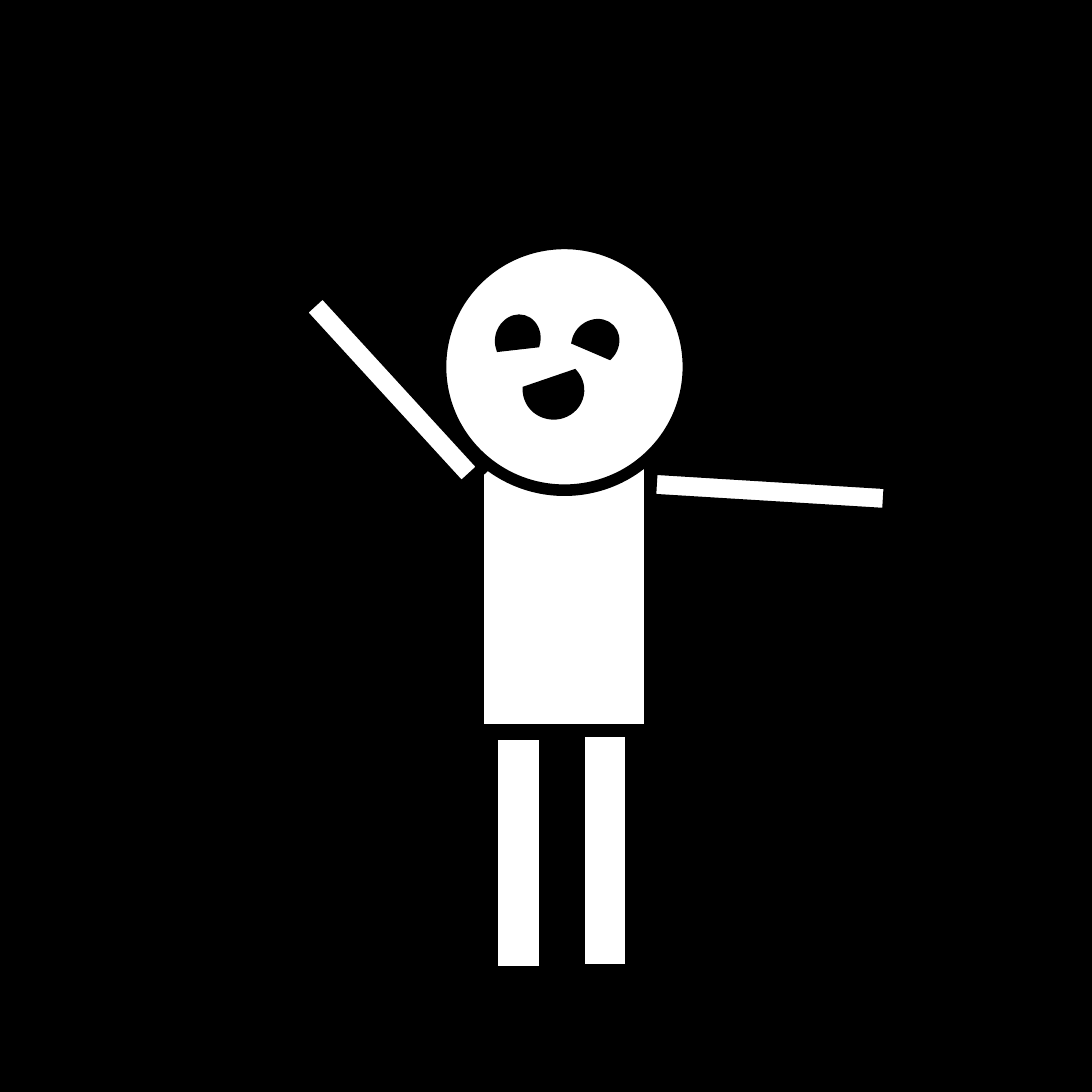
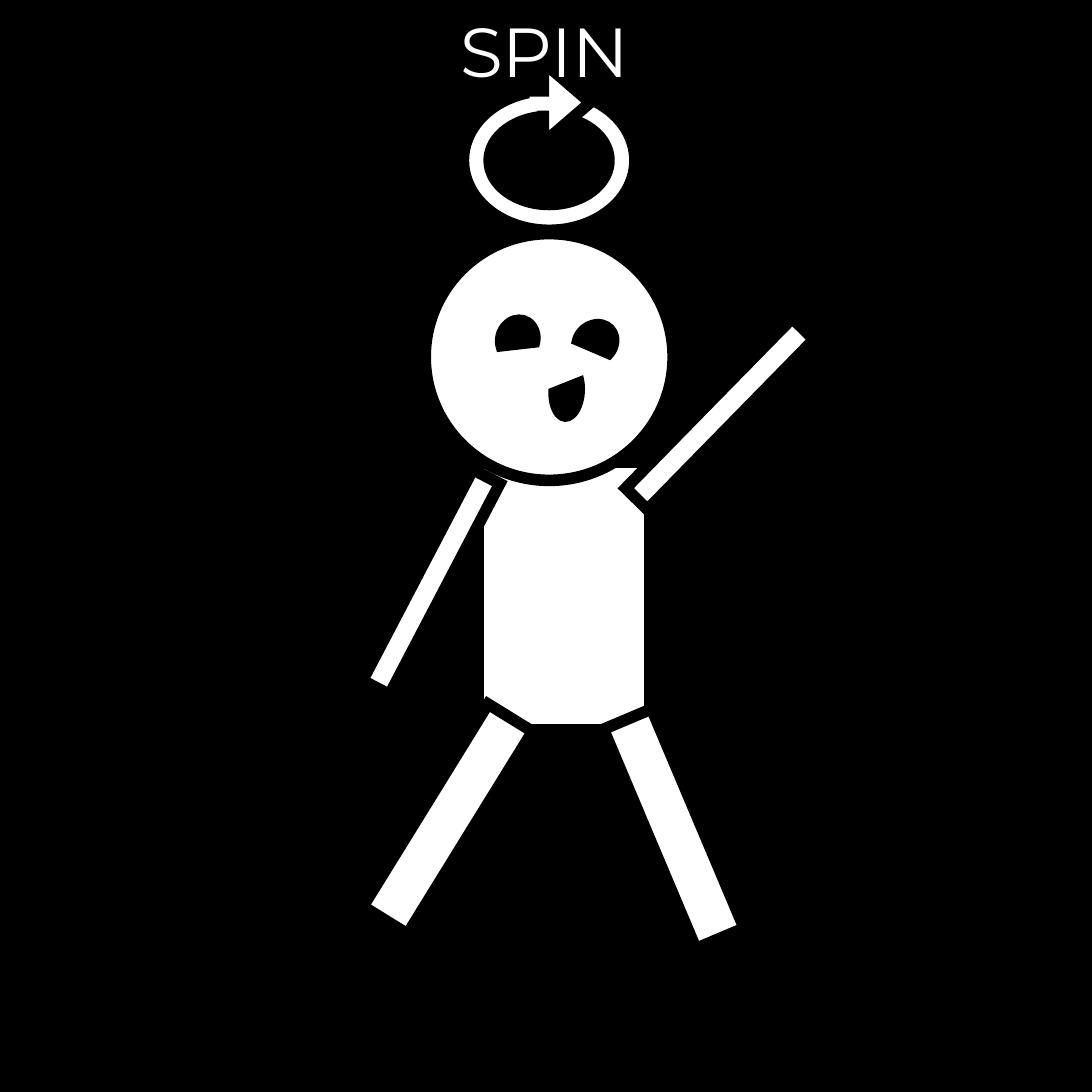
from lxml.etree import SubElement
from pptx import Presentation
from pptx.dml.color import RGBColor
from pptx.enum.shapes import MSO_SHAPE as Preset
from pptx.enum.text import MSO_ANCHOR, MSO_AUTO_SIZE, PP_ALIGN
from pptx.oxml.ns import qn
from pptx.util import Cm, Pt

BLACK = RGBColor(0x00, 0x00, 0x00)
WHITE = RGBColor(0xFF, 0xFF, 0xFF)
FONT = "Montserrat"
SIDE = Cm(10)
THIN, THICK = 1, 3
ARM = (2.18, 0.28)
LEG = (2.18, 0.48)
EYE = (0.43, 0.38)
EYES = [((4.74, 3.11), 106.7), ((5.45, 3.14), 136.4)]


def add_part(slide, preset, center, size, angle=0, fill=WHITE, outline=THICK):
    """Add a preset shape around its center, in centimetres, with a mitred black outline."""
    (x, y), (width, height) = center, size
    shape = slide.shapes.add_shape(
        preset, Cm(x - width / 2), Cm(y - height / 2), Cm(width), Cm(height))
    shape.rotation = angle
    shape.shadow.inherit = False
    shape.fill.solid()
    shape.fill.fore_color.rgb = fill
    if outline:
        shape.line.color.rgb = BLACK
        shape.line.width = Pt(outline)
        SubElement(shape.line._get_or_add_ln(), qn("a:miter"), lim="800000")
    else:
        shape.line.fill.background()
    return shape


def add_limbs(slide, size, limbs):
    """Add bars of one size, each given as a center and an angle."""
    for center, angle in limbs:
        add_part(slide, Preset.RECTANGLE, center, size, angle)


def add_feature(slide, center, size, angle):
    """Add a black chord for an eye or a mouth."""
    add_part(slide, Preset.CHORD, center, size, angle, BLACK, THIN)


def add_figure(slide, head, mouth, arms, legs):
    """Add a stick figure in the given pose."""
    add_part(slide, Preset.RECTANGLE, (5.17, 5.46), (1.5, 2.38), outline=THIN)
    add_part(slide, Preset.OVAL, head, (2.27, 2.26))
    for center, angle in EYES:
        add_feature(slide, center, EYE, angle)
    add_feature(slide, *mouth)
    add_limbs(slide, ARM, arms)
    add_limbs(slide, LEG, legs)


def add_spin_arrow(slide):
    """Add the circular arrow above the head."""
    ring = add_part(slide, Preset.DONUT, (5.03, 1.47), (1.5, 1.21), outline=THIN)
    ring.adjustments[0] = 0.137
    add_part(slide, Preset.ISOSCELES_TRIANGLE, (5.19, 0.94), (0.74, 0.43), 90)
    add_part(slide, Preset.RECTANGLE, (5.0, 0.95), (0.3, 0.13), outline=None)


def set_title(slide, text):
    """Place and format the title in front of the drawing."""
    title = slide.shapes.title
    title.left, title.top, title.width, title.height = Cm(3.96), Cm(-0.05), Cm(2.51), Cm(1.02)
    frame = title.text_frame
    frame.text = text
    frame.word_wrap = True
    frame.auto_size = MSO_AUTO_SIZE.SHAPE_TO_FIT_TEXT
    frame.vertical_anchor = MSO_ANCHOR.TOP
    paragraph = frame.paragraphs[0]
    paragraph.alignment = PP_ALIGN.LEFT
    paragraph.font.name = FONT
    paragraph.font.size = Pt(18)
    paragraph.font.color.rgb = WHITE
    slide.shapes._spTree.append(title._element)


def main():
    """Build both poses and save the presentation."""
    presentation = Presentation()
    presentation.slide_width = presentation.slide_height = SIDE
    background = presentation.slide_master.background.fill
    background.solid()
    background.fore_color.rgb = BLACK
    title_only, blank = presentation.slide_layouts[5], presentation.slide_layouts[6]

    wave = presentation.slides.add_slide(blank)
    add_figure(
        wave,
        head=(5.17, 3.36),
        mouth=((5.07, 3.57), (0.51, 0.53), 273.4),
        arms=[((3.59, 3.57), 47.5), ((7.05, 4.5), 183.5)],
        legs=[((5.54, 7.79), 90), ((4.75, 7.81), 90)])

    spin = presentation.slides.add_slide(title_only)
    add_figure(
        spin,
        head=(5.03, 3.27),
        mouth=((5.19, 3.58), (0.53, 0.3), 273.4),
        arms=[((6.59, 3.79), 134.4), ((3.95, 5.33), 297.6)],
        legs=[((6.17, 7.59), 67.1), ((4.1, 7.5), 121.7)])
    add_spin_arrow(spin)
    set_title(spin, "SPIN")

    presentation.save("out.pptx")


if __name__ == "__main__":
    main()
